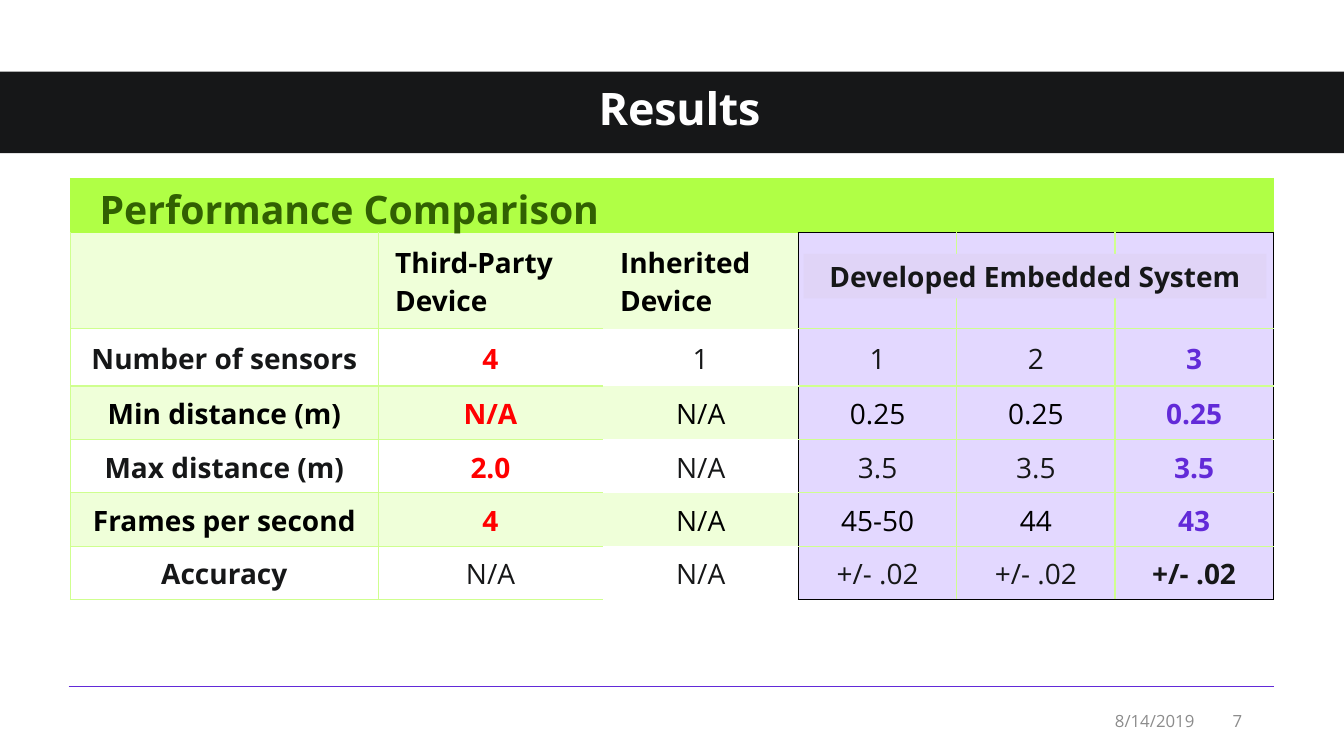
from lxml import etree
from pptx import Presentation
from pptx.dml.color import RGBColor
from pptx.enum.shapes import MSO_CONNECTOR, MSO_SHAPE
from pptx.enum.text import MSO_ANCHOR, PP_ALIGN
from pptx.oxml.ns import qn
from pptx.util import Inches, Pt

LEFT, CENTER, RIGHT = PP_ALIGN.LEFT, PP_ALIGN.CENTER, PP_ALIGN.RIGHT
MIDDLE, TOP = MSO_ANCHOR.MIDDLE, MSO_ANCHOR.TOP
RECTANGLE, STRAIGHT = MSO_SHAPE.RECTANGLE, MSO_CONNECTOR.STRAIGHT

FONT = "Open Sans"
WHITE = RGBColor(0xFF, 0xFF, 0xFF)
BLACK = RGBColor(0, 0, 0)
INK = RGBColor(0x16, 0x17, 0x18)
GRAY = RGBColor(0x8C, 0x8C, 0x8C)
RED = RGBColor(0xFF, 0, 0)
VIOLET = RGBColor(0x62, 0x2A, 0xD8)
LILAC = RGBColor(0xE3, 0xD8, 0xFF)
LILAC_LABEL = RGBColor(0xE0, 0xD4, 0xF7)
LIME = RGBColor(0xB0, 0xFF, 0x45)
LIME_LINE = RGBColor(0xCF, 0xFF, 0x8F)
LIME_PALE = RGBColor(0xEF, 0xFF, 0xD9)
FOREST = RGBColor(0x31, 0x60, 0x02)

COLUMNS = [3.05, 2.23, 1.94, 1.57, 1.57, 1.57]
ROWS = [0.54, 0.95, 0.57, 0.53, 0.53, 0.53, 0.53]
DEVICE, INHERITED, EMBEDDED = 1, 2, 3
LAST_COLUMN, LAST_ROW = len(COLUMNS) - 1, len(ROWS) - 1

RESULTS = [
    ["", "", "", "", "", ""],
    ["", "Third-Party Device", "Inherited\nDevice", "", "", ""],
    ["Number of sensors", "4", "1", "1", "2", "3"],
    ["Min distance (m)", "N/A", "N/A", "0.25", "0.25", "0.25"],
    ["Max distance (m)", "2.0", "N/A", "3.5", "3.5", "3.5"],
    ["Frames per second", "4", "N/A", "45-50", "44", "43"],
    ["Accuracy", "N/A", "N/A", "+/- .02", "+/- .02", "+/- .02"],
]


def write(frame, text, size, color, bold=False, align=LEFT):
    for index, line in enumerate(text.split("\n")):
        paragraph = frame.add_paragraph() if index else frame.paragraphs[0]
        paragraph.alignment = align
        run = paragraph.add_run()
        run.text = line
        run.font.name = FONT
        run.font.size = Pt(size)
        run.font.bold = bold
        run.font.color.rgb = color
    return paragraph


def add_block(slide, box, fill):
    block = slide.shapes.add_shape(RECTANGLE, *map(Inches, box))
    block.shadow.inherit = False
    block.fill.solid()
    block.fill.fore_color.rgb = fill
    block.line.fill.background()
    return block


def add_label(slide, box, text, size, color, bold=False, align=LEFT, anchor=TOP):
    frame = slide.shapes.add_textbox(*map(Inches, box)).text_frame
    frame.word_wrap = True
    frame.vertical_anchor = anchor
    return write(frame, text, size, color, bold, align)


def add_title_band(slide, left, top, width, height):
    add_block(slide, (left, top, width, height), INK)
    title = slide.shapes.title
    title.left, title.top = Inches(left + 0.61), Inches(top - 0.01)
    title.width, title.height = Inches(12.26), Inches(height)
    slide.shapes._spTree.append(title._element)
    frame = title.text_frame
    frame.word_wrap = True
    frame.vertical_anchor = MIDDLE
    heading = write(frame, "Results", 32, WHITE, True, CENTER)
    heading.line_spacing = 0.9
    heading.runs[0].font._element.set("spc", "-20")


def cell_fill(row, column):
    if row == 0:
        return LIME
    if column >= EMBEDDED:
        return LILAC
    return LIME_PALE if row % 2 else None


def cell_edges(row, column):
    first, last = column == 0, column == LAST_COLUMN
    if row == 0:
        below = {INHERITED: None}.get(column, BLACK if column >= EMBEDDED else LIME)
        return LIME if first else None, LIME if last else None, LIME, below
    if column == INHERITED:
        return None, BLACK, None, None
    if column < INHERITED:
        above = LIME if row == 1 else LIME_LINE
        return LIME_LINE, LIME_LINE if first else None, above, LIME_LINE
    return (BLACK if column == EMBEDDED else LIME_LINE,
            BLACK if last else LIME_LINE,
            BLACK if row == 1 else LIME_LINE,
            BLACK if row == LAST_ROW else LIME_LINE)


def text_style(row, column):
    base = BLACK if row % 2 else INK
    if row == 1 or column == 0:
        return base, True
    if column == DEVICE and row != LAST_ROW:
        return RED, True
    if column == LAST_COLUMN:
        return (base if row == LAST_ROW else VIOLET), True
    return base, False


def draw_edges(cell, edges):
    properties = cell._tc.get_or_add_tcPr()
    for side, color in zip("LRTB", edges):
        line = etree.SubElement(properties, qn(f"a:ln{side}"), w=str(Pt(1)))
        if color is None:
            etree.SubElement(line, qn("a:noFill"))
        else:
            solid = etree.SubElement(line, qn("a:solidFill"))
            etree.SubElement(solid, qn("a:srgbClr"), val=str(color))


def format_cell(cell, row, column):
    draw_edges(cell, cell_edges(row, column))
    fill = cell_fill(row, column)
    if fill is None:
        cell.fill.background()
    else:
        cell.fill.solid()
        cell.fill.fore_color.rgb = fill
    text = RESULTS[row][column]
    if text:
        cell.vertical_anchor = MIDDLE
        cell.margin_left = cell.margin_right = Inches(0.17)
        cell.margin_top, cell.margin_bottom = Inches(0.02), 0
        color, bold = text_style(row, column)
        write(cell.text_frame, text, 20, color, bold, LEFT if row == 1 else CENTER)


def add_comparison(slide, left, top):
    results = slide.shapes.add_table(
        len(ROWS), len(COLUMNS), Inches(left), Inches(top),
        Inches(sum(COLUMNS)), Inches(sum(ROWS))).table
    results.first_row = results.horz_banding = False
    for column, width in enumerate(COLUMNS):
        results.columns[column].width = Inches(width)
    for row, height in enumerate(ROWS):
        results.rows[row].height = Inches(height)
        for column in range(len(COLUMNS)):
            format_cell(results.cell(row, column), row, column)

    system = add_block(slide, (left + 7.27, top + 0.75, 4.59, 0.44), LILAC_LABEL)
    system.text_frame.word_wrap = True
    write(system.text_frame, "Developed Embedded System", 20, INK, True, CENTER)
    add_label(slide, (left + 0.19, top + 0.02, 5.5, 0.57),
              "Performance Comparison", 28, FOREST, True)


def add_footer(slide, left, top, width):
    rule = slide.shapes.add_connector(
        STRAIGHT, Inches(left), Inches(top), Inches(left + width), Inches(top))
    rule.line.color.rgb = VIOLET
    rule.line.width = Pt(0.75)
    etree.SubElement(rule._element.spPr, qn("a:effectLst"))
    for text, offset, width, align in (("8/14/2019", 10.28, 2, LEFT),
                                       ("7", 8.74, 3, RIGHT)):
        note = add_label(slide, (left + offset, top + 0.14, width, 0.4),
                         text, 12, GRAY, align=align, anchor=MIDDLE)
        note.space_after = Pt(6)


def main():
    deck = Presentation()
    deck.slide_width, deck.slide_height = Inches(13.33), Inches(7.5)
    slide = deck.slides.add_slide(deck.slide_layouts[5])
    add_footer(slide, 0.68, 6.81, 11.96)
    add_title_band(slide, 0, 0.71, 13.33, 0.81)
    add_comparison(slide, 0.7, 1.77)
    deck.save("out.pptx")


if __name__ == "__main__":
    main()
